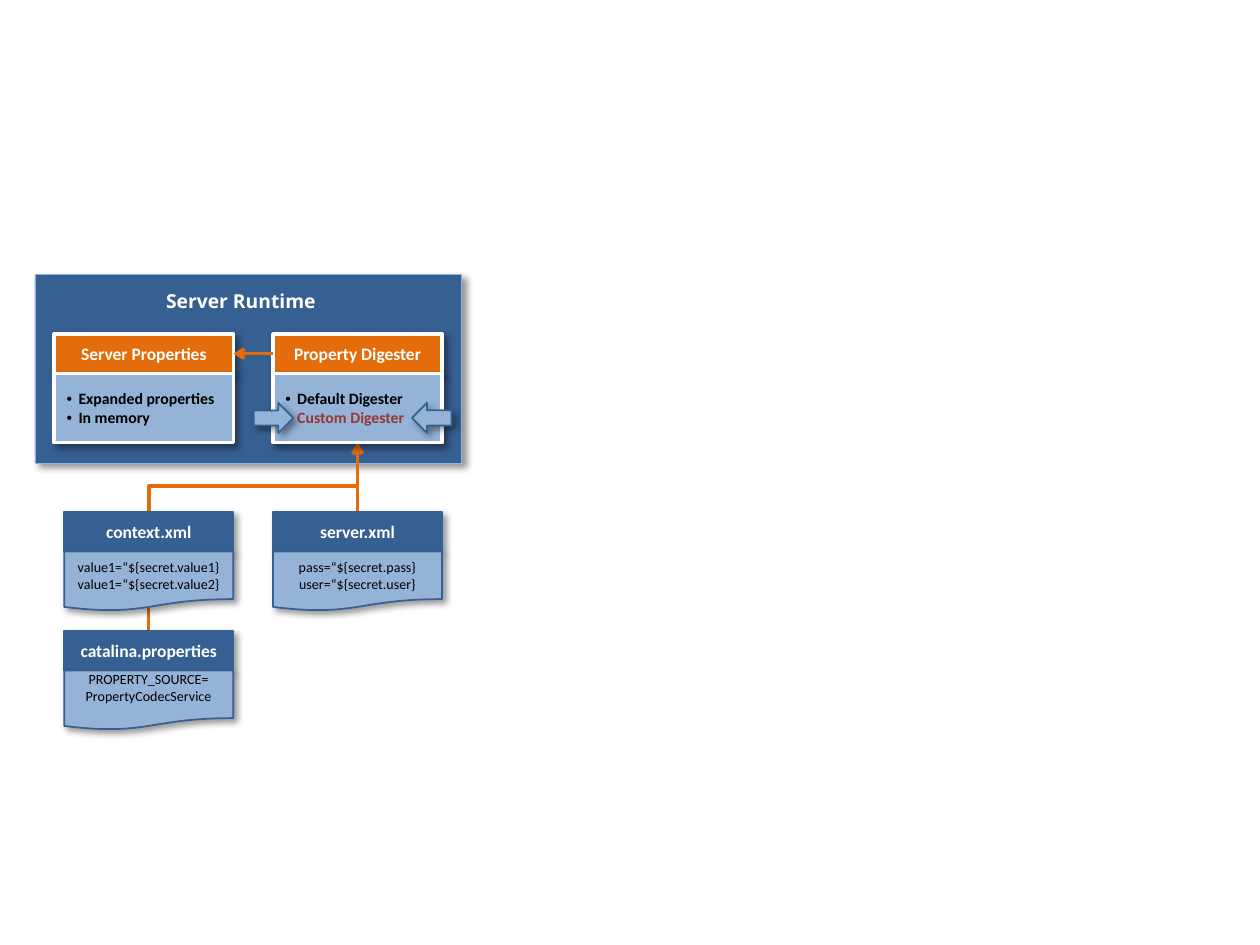
"""Build the slide that shows how a server runtime resolves its secret properties."""
import dataclasses

import lxml.etree
import pptx
import pptx.dml.color
import pptx.enum.shapes
import pptx.enum.text
import pptx.oxml.ns
import pptx.util

Pt = pptx.util.Pt
Shape = pptx.enum.shapes.MSO_SHAPE
Connector = pptx.enum.shapes.MSO_CONNECTOR
Anchor = pptx.enum.text.MSO_ANCHOR
Align = pptx.enum.text.PP_ALIGN
qn = pptx.oxml.ns.qn


@dataclasses.dataclass(frozen=True)
class Theme:
    """Colours, fonts and type sizes."""
    navy: str = "376092"
    sky: str = "95B3D7"
    rim: str = "8EB4E3"
    orange: str = "E46C0A"
    red: str = "953735"
    white: str = "FFFFFF"
    black: str = "000000"
    body_font: str = "Calibri"
    title_font: str = "Open Sans"
    title: float = 11
    heading: float = 10
    bullet: float = 9
    code: float = 8


THEME = Theme()


def color(value):
    """Turn a hex string into a colour."""
    return pptx.dml.color.RGBColor.from_string(value)


def child(parent, tag, **attributes):
    """Append a DrawingML element."""
    element = lxml.etree.SubElement(parent, qn(tag))
    for name, value in attributes.items():
        element.set(name, str(value))
    return element


def write(frame, lines, size, ink=THEME.black, font=THEME.body_font, bold=False,
          align=Align.CENTER, anchor=Anchor.MIDDLE, bullet=False, inks=None, wrap=True):
    """Write one paragraph per line into a text frame."""
    frame.word_wrap = wrap
    frame.vertical_anchor = anchor
    for index, line in enumerate(lines):
        para = frame.paragraphs[0] if index == 0 else frame.add_paragraph()
        para.alignment = align
        if bullet:
            properties = para._p.get_or_add_pPr()
            properties.set("marL", str(Pt(6.8)))
            properties.set("indent", str(Pt(-6.8)))
            child(properties, "a:buFont", typeface="Arial")
            child(properties, "a:buChar", char="•")
        span = para.add_run()
        span.text = line
        span.font.name = font
        span.font.size = Pt(size)
        span.font.bold = bold
        span.font.color.rgb = color(inks[index] if inks else ink)


class Diagram:
    """Draws the kinds of element on the current page in one style."""

    def __init__(self, page, theme):
        self.page = page
        self.theme = theme

    def block(self, kind, left, top, width, height, fill, line, weight=1, rotation=0):
        """Add a filled shape with a soft shadow."""
        box = self.page.shapes.add_shape(kind, Pt(left), Pt(top), Pt(width), Pt(height))
        box.rotation = rotation
        box.fill.solid()
        box.fill.fore_color.rgb = color(fill)
        box.line.color.rgb = color(line)
        box.line.width = Pt(weight)
        box.shadow.inherit = False
        effects = box._element.spPr.find(qn("a:effectLst"))
        shadow = child(effects, "a:outerShdw", blurRad=Pt(4), dist=Pt(3), dir=45 * 60000,
                       algn="tl", rotWithShape=0)
        child(child(shadow, "a:srgbClr", val=self.theme.black), "a:alpha", val=40000)
        return box

    def heading(self, text, left, top, width, fill, line, weight=1):
        """Add a coloured heading bar."""
        box = self.block(Shape.RECTANGLE, left, top, width, HEAD, fill, line, weight)
        write(box.text_frame, [text], self.theme.heading, ink=self.theme.white, bold=True)

    def file(self, name, lines, left, top, anchor=Anchor.MIDDLE):
        """Add a file: a heading bar above a document shape."""
        theme = self.theme
        self.heading(name, left, top, COLUMN, theme.navy, theme.navy)
        box = self.block(Shape.FLOWCHART_DOCUMENT, left, top + HEAD, COLUMN, 34,
                         theme.sky, theme.navy)
        if anchor == Anchor.TOP:
            box.text_frame.margin_top = 0
        write(box.text_frame, lines, theme.code, anchor=anchor)

    def component(self, name, lines, left, width, inks=None):
        """Add a runtime component: a heading bar above a bulleted box."""
        theme = self.theme
        self.heading(name, left, COMPONENT_TOP, width, theme.orange, theme.white, 2)
        box = self.block(Shape.RECTANGLE, left, COMPONENT_TOP + HEAD, width, 39.6,
                         theme.sky, theme.white, 2)
        write(box.text_frame, lines, theme.bullet, bold=True, align=Align.LEFT,
              bullet=True, inks=inks)

    def arrow(self, start, end, kind=Connector.STRAIGHT):
        """Add an orange connector with an arrowhead at its end."""
        link = self.page.shapes.add_connector(kind, *(Pt(value) for value in (*start, *end)))
        link.line.color.rgb = color(self.theme.orange)
        link.line.width = Pt(2)
        child(link.line._get_or_add_ln(), "a:tailEnd", type="arrow")
        child(link._element.spPr, "a:effectLst")
        return link

    def rising_elbow(self, start, end, bend):
        """Add an elbow that leaves and arrives vertically."""
        middle_x, middle_y = (start[0] + end[0]) / 2, (start[1] + end[1]) / 2
        half_width, half_height = (start[1] - end[1]) / 2, (end[0] - start[0]) / 2
        link = self.arrow((middle_x + half_width, middle_y + half_height),
                          (middle_x - half_width, middle_y - half_height), Connector.ELBOW)
        properties = link._element.spPr
        properties.find(qn("a:xfrm")).set("rot", str(90 * 60000))
        geometry = properties.find(qn("a:prstGeom"))
        guides = geometry.find(qn("a:avLst"))
        if guides is None:
            guides = child(geometry, "a:avLst")
        child(guides, "a:gd", name="adj1", fmla=f"val {round(bend * 100000)}")

    def label(self, text, left, top, width, height):
        """Add the white title of the runtime."""
        box = self.page.shapes.add_textbox(Pt(left), Pt(top), Pt(width), Pt(height))
        write(box.text_frame, [text], self.theme.title, ink=self.theme.white, bold=True,
              font=self.theme.title_font, align=Align.LEFT, anchor=Anchor.TOP, wrap=False)


HEAD = 22.6
COLUMN = 96.6
LEFT, RIGHT = 36.7, 156
LEFT_MIDDLE, RIGHT_MIDDLE = LEFT + COLUMN / 2, RIGHT + COLUMN / 2
COMPONENT_TOP, COMPONENT_BOTTOM = 190.8, 253
FILE_TOP, SOURCE_TOP = 292.5, 360.5
PROPERTIES_LEFT, PROPERTIES_WIDTH = 31, 102.4

deck = pptx.Presentation()
deck.slide_width, deck.slide_height = Pt(720), Pt(540)
diagram = Diagram(deck.slides.add_slide(deck.slide_layouts[6]), THEME)

diagram.arrow((LEFT_MIDDLE, SOURCE_TOP), (LEFT_MIDDLE, FILE_TOP + HEAD))
diagram.block(Shape.RECTANGLE, 20, 157, 244, 107.6, THEME.navy, THEME.rim, 0.5)
diagram.label("Server Runtime", 87.8, 162, 116.6, 20.9)
diagram.rising_elbow((LEFT_MIDDLE, FILE_TOP), (RIGHT_MIDDLE, COMPONENT_BOTTOM), 0.374)
diagram.arrow((RIGHT_MIDDLE, FILE_TOP), (RIGHT_MIDDLE, COMPONENT_BOTTOM))

diagram.file("context.xml", ["value1=“${secret.value1}", "value1=“${secret.value2}"],
             LEFT, FILE_TOP)
diagram.file("server.xml", ["pass=“${secret.pass}", "user=“${secret.user}"],
             RIGHT, FILE_TOP)
diagram.file("catalina.properties", ["PROPERTY_SOURCE= PropertyCodecService"],
             LEFT, SOURCE_TOP, Anchor.TOP)

diagram.component("Property Digester", ["Default Digester", "Custom Digester"],
                  RIGHT, COLUMN, inks=[THEME.black, THEME.red])
diagram.component("Server Properties", ["Expanded properties", "In memory"],
                  PROPERTIES_LEFT, PROPERTIES_WIDTH)
link_height = COMPONENT_TOP + HEAD / 2
diagram.arrow((RIGHT, link_height), (PROPERTIES_LEFT + PROPERTIES_WIDTH, link_height))

for pointer_left, pointer_turn in ((235.4, 0), (145, 180)):
    diagram.block(Shape.LEFT_ARROW, pointer_left, 230.2, 22.6, 17.2, THEME.sky, THEME.navy,
                  rotation=pointer_turn)

deck.save("out.pptx")
